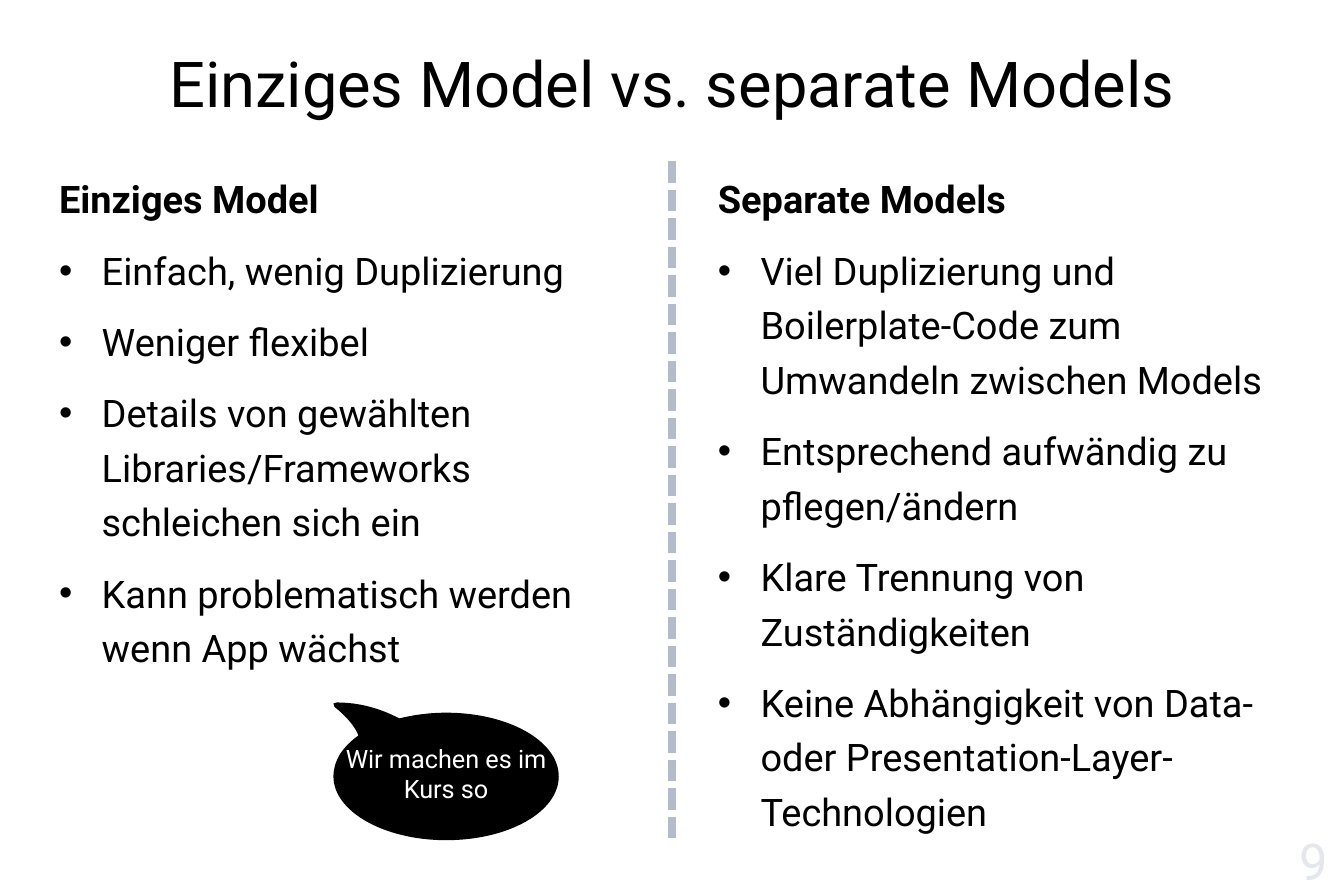
from dataclasses import dataclass

from lxml.etree import SubElement
from pptx import Presentation
from pptx.dml.color import RGBColor
from pptx.enum.dml import MSO_LINE
from pptx.enum.shapes import MSO_CONNECTOR
from pptx.enum.text import MSO_ANCHOR, MSO_AUTO_SIZE, PP_ALIGN
from pptx.oxml.ns import qn
from pptx.util import Inches, Pt


@dataclass(frozen=True)
class Theme:
    font: str = "Roboto"
    ink: RGBColor = RGBColor(0x00, 0x00, 0x00)
    paper: RGBColor = RGBColor(0xFF, 0xFF, 0xFF)
    divider: RGBColor = RGBColor(0xB2, 0xBC, 0xCB)
    page_number: RGBColor = RGBColor(0xE4, 0xE7, 0xEE)
    title_size: int = 40
    body_size: int = 24
    callout_size: int = 16
    page_number_size: int = 32


THEME = Theme()
SLIDE_WIDTH, SLIDE_HEIGHT = 11.81, 7.87
COLUMN_TOP = 17 / 12
BULLET_INDENT = 3 / 8

COLUMNS = [
    (0.42, "Einziges Model", [
        "Einfach, wenig Duplizierung",
        "Weniger flexibel",
        "Details von gewählten Libraries/Frameworks schleichen sich ein",
        "Kann problematisch werden wenn App wächst",
    ]),
    (6.21, "Separate Models", [
        "Viel Duplizierung und Boilerplate-Code zum Umwandeln zwischen Models",
        "Entsprechend aufwändig zu pflegen/ändern",
        "Klare Trennung von Zuständigkeiten",
        "Keine Abhängigkeit von Data- oder Presentation-Layer-Technologien",
    ]),
]

BUBBLE_START = (3.92, 7.38)
BUBBLE_CURVES = [
    ((3.38, 7.38), (2.93, 7.13), (2.93, 6.82)),
    ((2.93, 6.68), (3.01, 6.56), (3.15, 6.46)),
    ((3.1, 6.33), (2.94, 6.21), (2.94, 6.21)),
    ((2.93, 6.2), (2.93, 6.19), (2.93, 6.18)),
    ((2.94, 6.17), (2.95, 6.17), (2.96, 6.17)),
    ((3.22, 6.17), (3.41, 6.26), (3.51, 6.31)),
    ((3.63, 6.28), (3.77, 6.26), (3.92, 6.26)),
    ((4.47, 6.26), (4.91, 6.51), (4.91, 6.82)),
    ((4.91, 7.13), (4.47, 7.38), BUBBLE_START),
]


def style(paragraph, size, color, align=PP_ALIGN.LEFT, bold=False):
    paragraph.alignment = align
    font = paragraph.font
    font.name, font.size, font.bold = THEME.font, Pt(size), bold
    font.color.rgb = color


def add_bullet(paragraph):
    properties = paragraph._p.get_or_add_pPr()
    properties.set("marL", str(Inches(BULLET_INDENT)))
    properties.set("indent", str(-Inches(BULLET_INDENT)))
    SubElement(properties, qn("a:buFont"), typeface="Arial")
    SubElement(properties, qn("a:buChar"), char="•")


def set_title(slide, text):
    title = slide.shapes.title
    title.left, title.top = Inches(0.42), Inches(0.33)
    title.width, title.height = Inches(10.97), Inches(0.87)
    frame = title.text_frame
    frame.text = text
    frame.auto_size = MSO_AUTO_SIZE.NONE
    frame.vertical_anchor = MSO_ANCHOR.MIDDLE
    paragraph = frame.paragraphs[0]
    paragraph.line_spacing = 0.9
    style(paragraph, THEME.title_size, THEME.ink, PP_ALIGN.CENTER)


def add_column(slide, left, heading, points):
    column = slide.shapes.add_textbox(
        Inches(left), Inches(COLUMN_TOP), Inches(5.18), Inches(6.07))
    frame = column.text_frame
    frame.word_wrap = True
    frame.text = "\n".join([heading, *points])
    for index, paragraph in enumerate(frame.paragraphs):
        paragraph.line_spacing = 1.2
        paragraph.space_before = Pt(10.5)
        style(paragraph, THEME.body_size, THEME.ink, bold=index == 0)
        if index:
            add_bullet(paragraph)


def add_divider(slide, x, top, bottom):
    divider = slide.shapes.add_connector(
        MSO_CONNECTOR.STRAIGHT, Inches(x), Inches(top), Inches(x), Inches(bottom))
    divider.line.color.rgb = THEME.divider
    divider.line.width = Pt(4.5)
    divider.line.dash_style = MSO_LINE.SQUARE_DOT
    SubElement(divider._element.spPr, qn("a:effectLst"))


def bend_sides(shape, curves):
    sides = list(shape._element.iter(qn("a:lnTo")))
    for side, (first, second, _) in zip(sides, curves):
        side.tag = qn("a:cubicBezTo")
        for index, (x, y) in enumerate((first, second)):
            control = SubElement(side, qn("a:pt"))
            control.set("x", str(Inches(x) - shape.left))
            control.set("y", str(Inches(y) - shape.top))
            side.insert(index, control)


def add_speech_bubble(slide, text):
    outline = slide.shapes.build_freeform(*map(Inches, BUBBLE_START))
    corners = [tuple(map(Inches, end)) for _, _, end in BUBBLE_CURVES]
    outline.add_line_segments(corners, close=True)
    bubble = outline.convert_to_shape()
    bend_sides(bubble, BUBBLE_CURVES)
    bubble.shadow.inherit = False
    bubble.fill.solid()
    bubble.fill.fore_color.rgb = THEME.ink
    bubble.line.fill.background()
    frame = bubble.text_frame
    frame.text = text
    frame.word_wrap = True
    frame.vertical_anchor = MSO_ANCHOR.MIDDLE
    frame.margin_left = frame.margin_right = Inches(0.1)
    frame.margin_top, frame.margin_bottom = Inches(0.04), Inches(0)
    style(frame.paragraphs[0], THEME.callout_size, THEME.paper, PP_ALIGN.CENTER)


def add_page_number(slide, number):
    corner = slide.shapes.add_textbox(
        Inches(10.97), Inches(7.25), Inches(0.7), Inches(0.58))
    frame = corner.text_frame
    frame.margin_left = frame.margin_right = Inches(0)
    frame.margin_top = frame.margin_bottom = Inches(0.04)
    frame.word_wrap = True
    frame.text = number
    style(frame.paragraphs[0], THEME.page_number_size, THEME.page_number, PP_ALIGN.RIGHT)


def main():
    presentation = Presentation()
    presentation.slide_width = Inches(SLIDE_WIDTH)
    presentation.slide_height = Inches(SLIDE_HEIGHT)
    slide = presentation.slides.add_slide(presentation.slide_layouts[5])
    slide.background.fill.solid()
    slide.background.fill.fore_color.rgb = THEME.paper
    set_title(slide, "Einziges Model vs. separate Models")
    for left, heading, points in COLUMNS:
        add_column(slide, left, heading, points)
    add_divider(slide, SLIDE_WIDTH / 2, COLUMN_TOP, 7.38)
    add_speech_bubble(slide, "Wir machen es im Kurs so")
    add_page_number(slide, "9")
    presentation.save("out.pptx")


if __name__ == "__main__":
    main()
